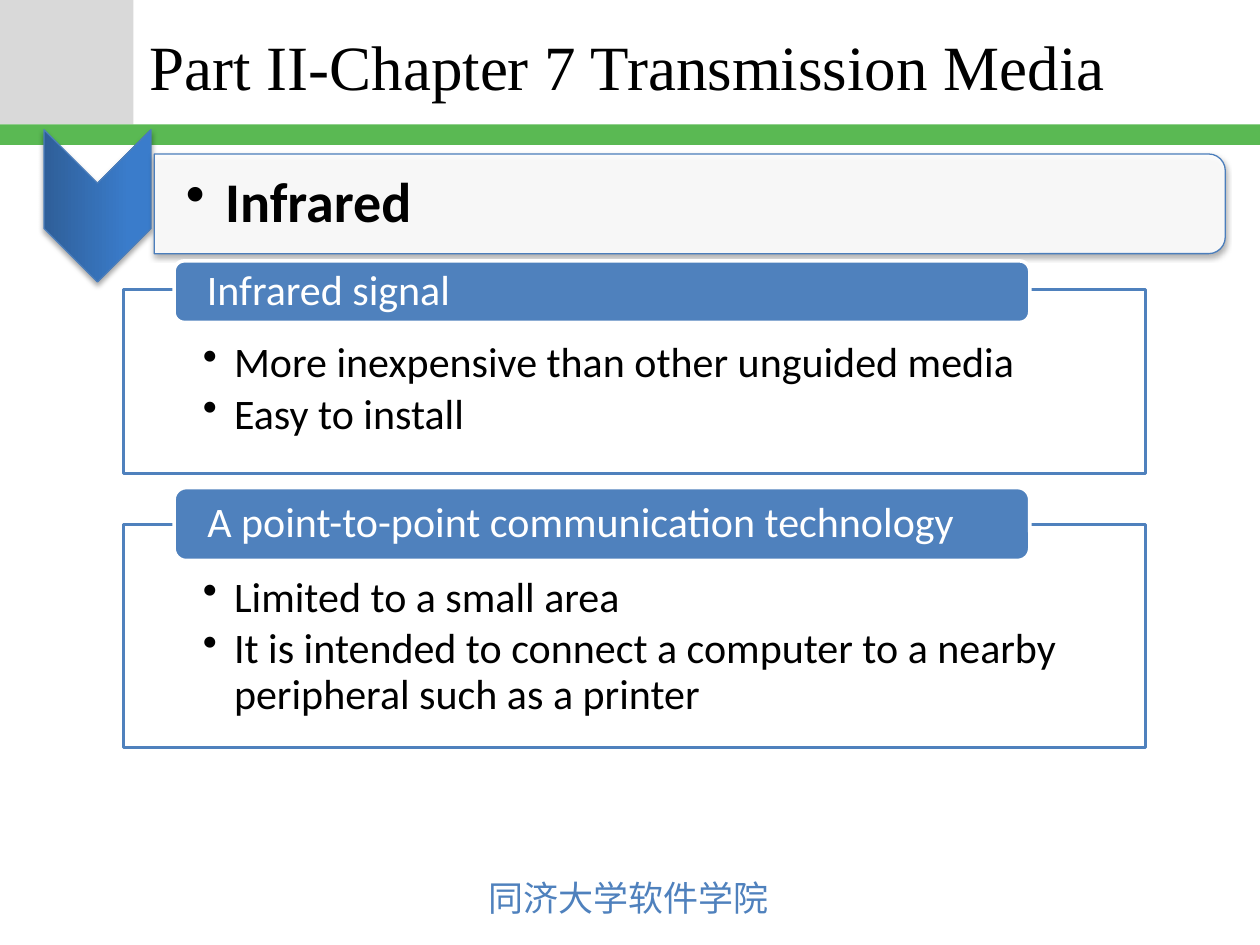
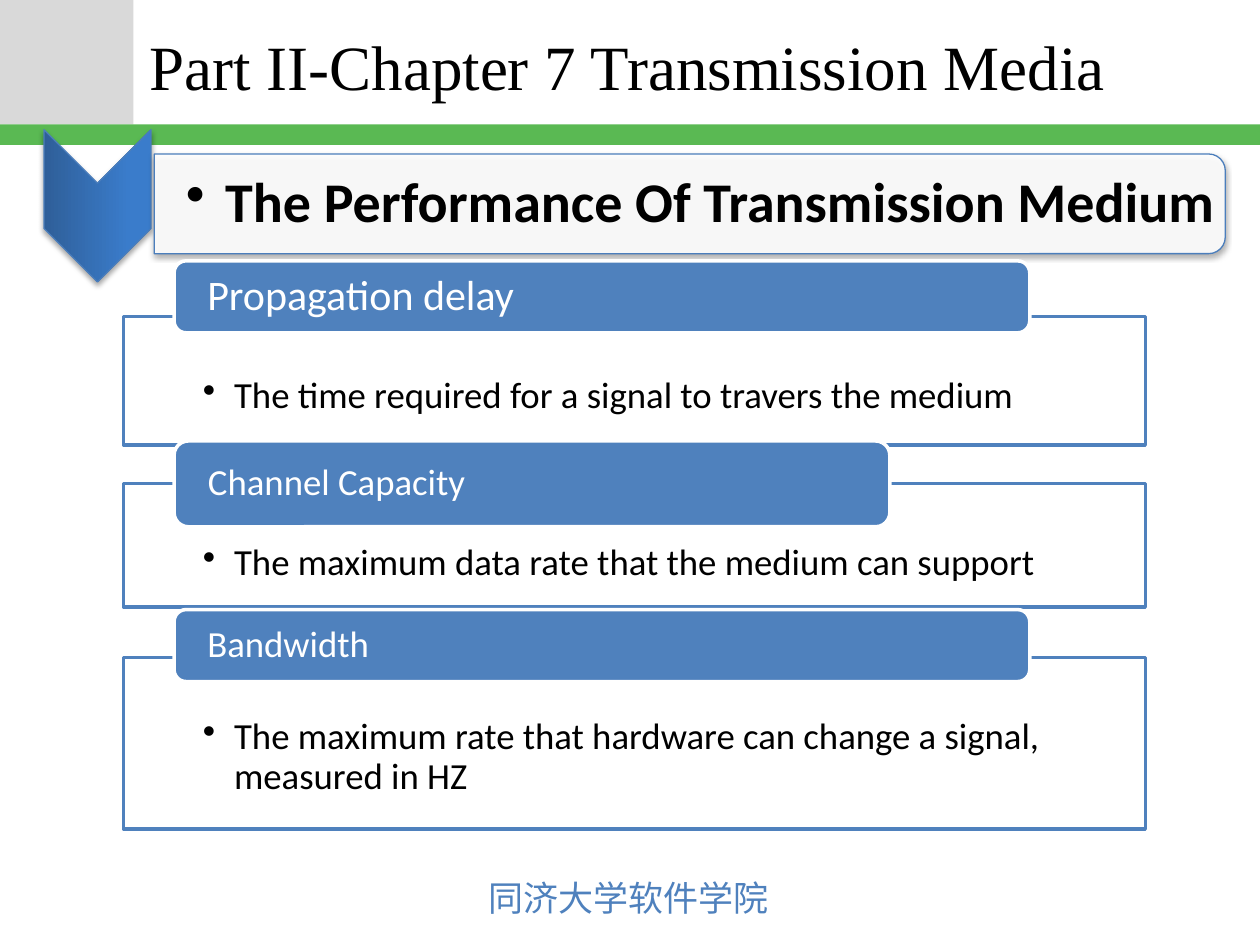
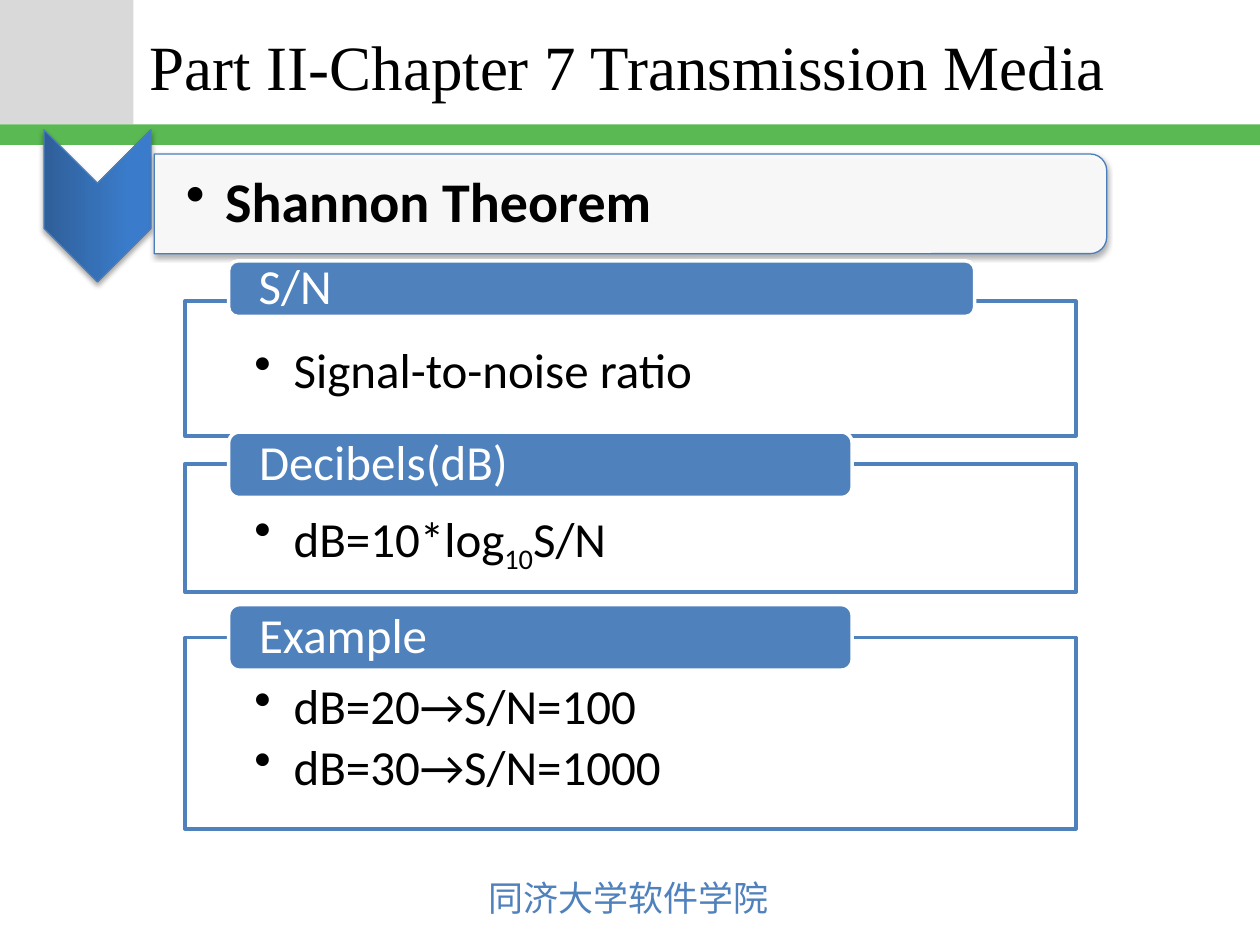
from pptx import Presentation
from pptx.dml.color import RGBColor
from pptx.enum.shapes import MSO_SHAPE as Shape
from pptx.enum.text import MSO_ANCHOR as Anchor, PP_ALIGN as Align
from pptx.oxml import parse_xml
from pptx.oxml.ns import nsdecls, qn
from pptx.util import Cm, Pt

rgb = RGBColor.from_string
BLACK, WHITE, GRAY = "000000", "FFFFFF", "D9D9D9"
GREEN, BLUE, EDGE = "5AB953", "4F81BD", "4B7EBC"
DARK_BLUE, BRIGHT_BLUE = "2F5F99", "3A7CCB"
BODY_FONT, TITLE_FONT, FOOTER_FONT = "Calibri", "Times New Roman", "Noto Sans CJK JP"
TITLE = "Part II-Chapter 7 Transmission Media"
FOOTER = "同济大学软件学院"
BANNER_LEFT, BANNER_MIDDLE, BANNER_HEIGHT = 3.11, 4.11, 2.01
SHADOW = (
    f'<a:outerShdw {nsdecls("a")} blurRad="40000" dist="23000" dir="5400000" rotWithShape="0">'
    '<a:srgbClr val="000000"><a:alpha val="35000"/></a:srgbClr></a:outerShdw>'
)

# Each panel: top, height, tab (top, height, width, text size, text), bullets.
# A bullet is a list of runs in which every second run is subscript.
SLIDES = [
    {
        "heading": "Infrared", "banner_length": 21.59,
        "left": 2.49, "width": 20.6, "tab_offset": 1.02, "tab_inset": 0.6,
        "insets": (1.6, 1.04, 1.6, 0.48), "size": 24, "indent": 0.63,
        "panels": [
            (5.84, 3.71, (5.26, 1.24, 17.25, 24, "Infrared signal"),
             [["More inexpensive than other unguided media"], ["Easy to install"]]),
            (10.57, 4.5, (9.83, 1.47, 17.25, 24, "A point-to-point communication technology"),
             [["Limited to a small area"],
              ["It is intended to connect a computer to a nearby peripheral such as a printer"]]),
        ],
    },
    {
        "heading": "The Performance Of Transmission Medium", "banner_length": 21.59,
        "left": 2.49, "width": 20.6, "tab_offset": 1.02, "tab_inset": 0.6,
        "insets": (1.6, 1.22, 1.6, 0.41), "size": 21, "indent": 0.63,
        "panels": [
            (6.38, 2.59, (5.26, 1.45, 17.25, 24, "Propagation delay"),
             [["The time required for a signal to travers the medium"]]),
            (9.75, 2.49, (8.89, 1.73, 14.43, 21, "Channel Capacity"),
             [["The maximum data rate that the medium can support"]]),
            (13.26, 3.45, (12.29, 1.45, 17.25, 21, "Bandwidth"),
             [["The maximum rate that hardware can change a signal, measured in HZ"]]),
        ],
    },
    {
        "heading": "Shannon Theorem", "banner_length": 19.2,
        "left": 3.73, "width": 17.96, "tab_offset": 0.88, "tab_inset": 0.55,
        "insets": (1.4, 0.91, 1.4, 0.56), "size": 28, "indent": 0.79,
        "panels": [
            (6.07, 2.72, (5.26, 1.12, 15.04, 28, "S/N"), [["Signal-to-noise ratio"]]),
            (9.35, 2.59, (8.71, 1.32, 12.57, 28, "Decibels(dB)"), [["dB=10*log", "10", "S/N"]]),
            (12.85, 3.86, (12.19, 1.32, 12.57, 28, "Example"),
             [["dB=20→S/N=100"], ["dB=30→S/N=1000"]]),
        ],
    },
]


def add_box(slide, kind, box, fill=None, line=None, line_width=2.0):
    """Add a preset shape, or a text box when kind is None; box is in cm."""
    lengths = [Cm(length) for length in box]
    if kind is None:
        shape = slide.shapes.add_textbox(*lengths)
    else:
        shape = slide.shapes.add_shape(kind, *lengths)
        shape.shadow.inherit = False
        if fill:
            shape.fill.solid()
            shape.fill.fore_color.rgb = rgb(fill)
        if line:
            shape.line.color.rgb = rgb(line)
            shape.line.width = Pt(line_width)
        else:
            shape.line.fill.background()
    shape.text_frame.word_wrap = True
    return shape


def write(shape, lines, size, font=BODY_FONT, colour=BLACK, bold=False,
          anchor=Anchor.MIDDLE, insets=(0.25, 0.13, 0.25, 0.13), indent=None, spacing=0.9):
    """Fill a shape with paragraphs of runs; an indent in cm makes them bullets."""
    frame = shape.text_frame
    frame.vertical_anchor = anchor
    (frame.margin_left, frame.margin_top,
     frame.margin_right, frame.margin_bottom) = [Cm(inset) for inset in insets]
    for number, pieces in enumerate(lines):
        paragraph = frame.add_paragraph() if number else frame.paragraphs[0]
        paragraph.alignment = Align.LEFT
        paragraph.line_spacing = spacing
        if indent:
            paragraph.space_after = Pt(0.15 * size)
            properties = paragraph._p.get_or_add_pPr()
            properties.set("marL", str(Cm(indent)))
            properties.set("indent", str(-Cm(indent)))
            properties.append(parse_xml(f'<a:buChar {nsdecls("a")} char="•"/>'))
        for position, text in enumerate(pieces):
            run = paragraph.add_run()
            run.text = text
            run.font.name = font
            run.font.size = Pt(size)
            run.font.bold = bold
            run.font.color.rgb = rgb(colour)
            properties = run._r.get_or_add_rPr()
            properties.append(parse_xml(f'<a:ea {nsdecls("a")} typeface="{font}"/>'))
            if position % 2:
                properties.set("baseline", "-25000")


presentation = Presentation()
presentation.slide_width = Cm(25.4)
presentation.slide_height = Cm(19.05)

for content in SLIDES:
    slide = presentation.slides.add_slide(presentation.slide_layouts[6])

    # Shared frame
    add_box(slide, Shape.RECTANGLE, (0, 0, 2.69, 2.51), GRAY)
    add_box(slide, Shape.RECTANGLE, (0, 2.51, 25.4, 0.41), GREEN)
    footer = add_box(slide, None, (9.6, 17.53, 6.22, 1.12))
    footer.text_frame.word_wrap = False
    write(footer, [[FOOTER]], 20, FOOTER_FONT, BLUE, anchor=Anchor.TOP, spacing=1.0)
    title = add_box(slide, None, (2.77, 0.08, 20.93, 2.49))
    write(title, [[TITLE]], 36, TITLE_FONT, spacing=1.0)

    # Heading banner with its chevron
    chevron = add_box(slide, Shape.CHEVRON, (0.43, 3.07, 3.07, 2.16), None, EDGE, 0.75)
    chevron.rotation = 90
    chevron.fill.gradient()
    chevron.fill.gradient_angle = 90
    first_stop, last_stop = chevron.fill.gradient_stops
    first_stop.color.rgb, first_stop.position = rgb(DARK_BLUE), 0
    last_stop.color.rgb, last_stop.position = rgb(BRIGHT_BLUE), 0.8

    length = content["banner_length"]
    banner_box = (BANNER_LEFT + (length - BANNER_HEIGHT) / 2, BANNER_MIDDLE - length / 2,
                  BANNER_HEIGHT, length)
    banner = add_box(slide, Shape.ROUND_2_SAME_RECTANGLE, banner_box, WHITE, EDGE, 0.75)
    banner.rotation = 90
    banner_colour = banner.element.spPr.find(qn("a:solidFill"))[0]
    banner_colour.append(parse_xml(f'<a:alpha {nsdecls("a")} val="90000"/>'))
    for shape in (chevron, banner):
        shape.element.spPr.find(qn("a:effectLst")).append(parse_xml(SHADOW))
    heading = add_box(slide, None, (BANNER_LEFT, 3.22, length - 0.08, 1.8))
    write(heading, [[content["heading"]]], 32, bold=True,
          insets=(0.64, 0.05, 0.05, 0.05), indent=0.79)

    # Panels, each with a tab on its upper edge
    for top, height, tab_data, bullets in content["panels"]:
        panel = add_box(slide, Shape.RECTANGLE,
                        (content["left"], top, content["width"], height), WHITE, BLUE)
        write(panel, bullets, content["size"], anchor=Anchor.TOP,
              insets=content["insets"], indent=content["indent"])
        tab_top, tab_height, tab_width, tab_size, tab_text = tab_data
        tab_left = content["left"] + content["tab_offset"]
        tab = add_box(slide, Shape.ROUNDED_RECTANGLE,
                      (tab_left, tab_top, tab_width, tab_height), BLUE, WHITE)
        inset = content["tab_inset"]
        write(tab, [[tab_text]], tab_size, colour=WHITE, insets=(inset, 0, inset, 0))

presentation.save("out.pptx")
